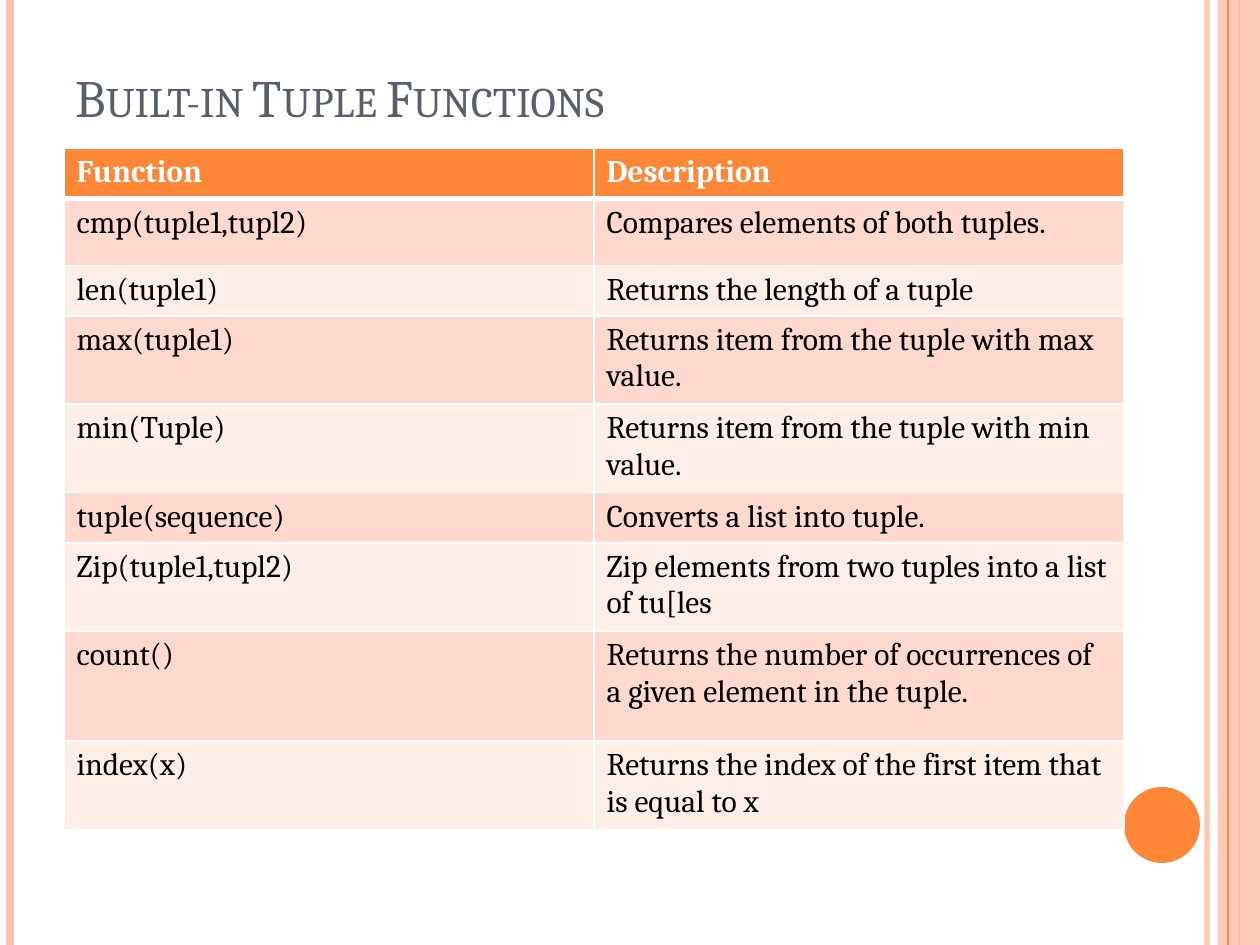
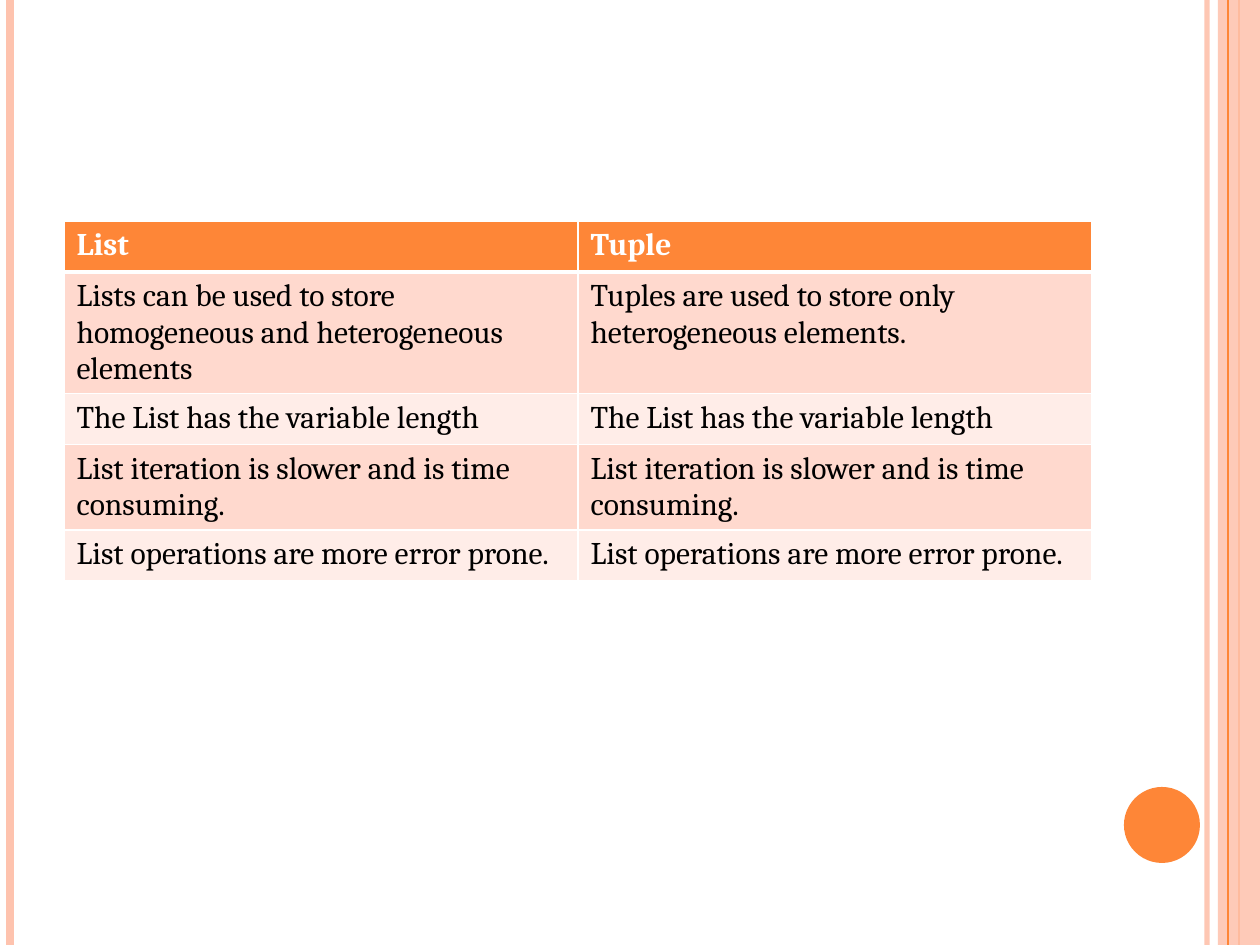
"""Builds two slides of tables about Python tuples and lists."""
import pptx
import pptx.dml.color
import pptx.enum.shapes
import pptx.enum.text
import pptx.oxml
import pptx.oxml.ns
import pptx.util

WIDTH, HEIGHT = 1260, 945
EMU_PER_PX = 914400 / 126
FONT = "Cambria"
ORANGE, PEACH, WHITE, BLACK, SLATE = "FE8637", "FEC3AE", "FFFFFF", "000000", "575F6D"
BANDS = ("FFD9CE", "FFEDE8")

FUNCTIONS = [
    ("Function", "Description"),
    ("cmp(tuple1,tupl2)", "Compares elements of both tuples."),
    ("len(tuple1)", "Returns the length of a tuple"),
    ("max(tuple1)", "Returns item from the tuple with max value."),
    ("min(Tuple)", "Returns item from the tuple with min value."),
    ("tuple(sequence)", "Converts a list into tuple."),
    ("Zip(tuple1,tupl2)", "Zip elements from two tuples into a list of tu[les"),
    ("count()", "Returns the number of occurrences of a given element in the tuple."),
    ("index(x)", "Returns the index of the first item that is equal to x"),
]
COMPARISON = [
    ("List", "Tuple"),
    ("Lists can be used to store homogeneous and heterogeneous elements",
     "Tuples are used to store only heterogeneous elements."),
    ("The List has the variable length",) * 2,
    ("List iteration is slower and is time consuming.",) * 2,
    ("List operations are more error prone.",) * 2,
]


def px(length):
    return pptx.util.Emu(round(length * EMU_PER_PX))


def color(value):
    return pptx.dml.color.RGBColor.from_string(value)


def set_opacity(shape, percent):
    for element in shape._element.iter(pptx.oxml.ns.qn("a:srgbClr")):
        alpha = element.makeelement(pptx.oxml.ns.qn("a:alpha"), {"val": str(percent * 1000)})
        element.append(alpha)


def set_font(paragraph, size, value, bold=False):
    font = paragraph.font
    font.name, font.size, font.bold = FONT, pptx.util.Pt(size), bold
    font.color.rgb = color(value)


def add_vertical_line(slide, x, value, points):
    line = slide.shapes.add_connector(
        pptx.enum.shapes.MSO_CONNECTOR.STRAIGHT, px(x), 0, px(x), px(HEIGHT))
    line.line.color.rgb = color(value)
    line.line.width = pptx.util.Pt(points)
    properties = line._element.spPr
    properties.append(properties.makeelement(pptx.oxml.ns.qn("a:effectLst"), {}))
    return line


def add_filled_shape(slide, kind, left, top, width, height, value):
    shape = slide.shapes.add_shape(kind, px(left), px(top), px(width), px(height))
    shape.shadow.inherit = False
    shape.fill.solid()
    shape.fill.fore_color.rgb = color(value)
    shape.line.fill.background()
    return shape


def add_decoration(slide):
    kinds = pptx.enum.shapes.MSO_SHAPE
    set_opacity(add_vertical_line(slide, 1207, PEACH, 3), 93)
    add_vertical_line(slide, 10, PEACH, 4.5)
    add_vertical_line(slide, 1239, ORANGE, 1.5)
    band = add_filled_shape(slide, kinds.RECTANGLE, 1218, 0, WIDTH - 1218, HEIGHT, PEACH)
    set_opacity(band, 87)
    add_vertical_line(slide, 1228, ORANGE, 0.75)
    add_filled_shape(slide, kinds.OVAL, 1124, 787, 76, 76, ORANGE)


def add_title(slide, text):
    frame = slide.shapes.add_textbox(px(63), px(38), px(1029), px(157)).text_frame
    frame.word_wrap = True
    frame.vertical_anchor = pptx.enum.text.MSO_ANCHOR.BOTTOM
    frame.margin_bottom = px(67)
    paragraph = frame.paragraphs[0]
    paragraph.text = text
    set_font(paragraph, 30, SLATE)
    paragraph._p.pPr.find(pptx.oxml.ns.qn("a:defRPr")).set("cap", "small")


def set_borders(cell, row):
    thick = {"T": row == 1, "B": row == 0}
    properties = cell._tc.get_or_add_tcPr()
    for side in "LRTB":
        width = pptx.util.Pt(3 if thick.get(side) else 1)
        properties.append(pptx.oxml.parse_xml(
            f'<a:ln{side} {pptx.oxml.ns.nsdecls("a")} w="{width}"><a:solidFill>'
            f'<a:srgbClr val="{WHITE}"/></a:solidFill></a:ln{side}>'))


def add_text_table(slide, top, column_width, row_heights, rows):
    columns = len(rows[0])
    table = slide.shapes.add_table(
        len(rows), columns, px(64), px(top),
        px(column_width * columns), px(sum(row_heights))).table
    for column in table.columns:
        column.width = px(column_width)
    for row, (texts, height) in enumerate(zip(rows, row_heights)):
        table.rows[row].height = px(height)
        header = row == 0
        for column, text in enumerate(texts):
            cell = table.cell(row, column)
            set_borders(cell, row)
            cell.fill.solid()
            cell.fill.fore_color.rgb = color(ORANGE if header else BANDS[(row - 1) % 2])
            paragraph = cell.text_frame.paragraphs[0]
            paragraph.text = text
            set_font(paragraph, 18, WHITE if header else BLACK, header)


def add_slide(presentation):
    slide = presentation.slides.add_slide(presentation.slide_layouts[6])
    add_decoration(slide)
    return slide


def main():
    presentation = pptx.Presentation()
    presentation.slide_width, presentation.slide_height = px(WIDTH), px(HEIGHT)

    slide = add_slide(presentation)
    add_title(slide, "Built-in Tuple Functions")
    add_text_table(slide, 148, 530, [48, 67, 49, 85, 85, 49, 85, 110, 85], FUNCTIONS)

    slide = add_slide(presentation)
    add_text_table(slide, 221, 514, [51, 121, 51, 85, 51], COMPARISON)

    presentation.save("out.pptx")


if __name__ == "__main__":
    main()
